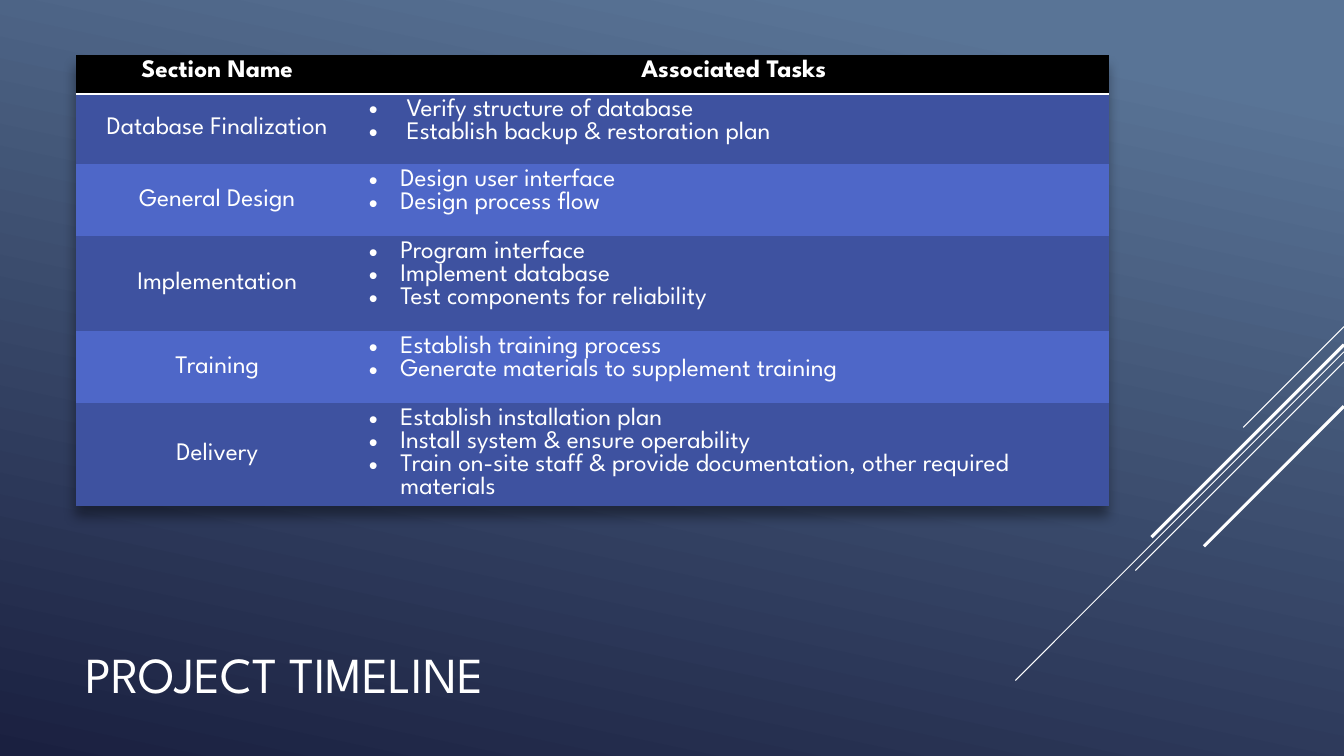
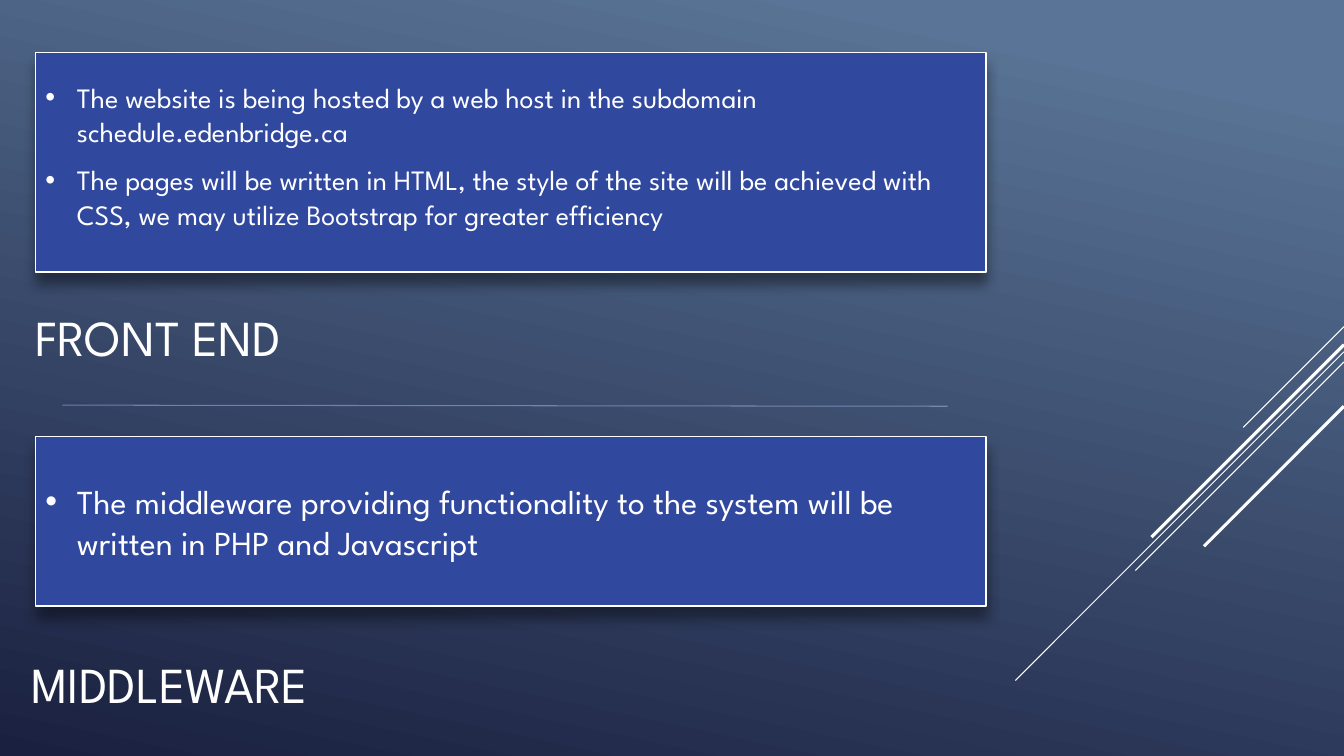
from lxml import etree
from pptx import Presentation
from pptx.dml.color import RGBColor
from pptx.enum.shapes import MSO_CONNECTOR, MSO_SHAPE
from pptx.enum.text import MSO_ANCHOR, PP_ALIGN
from pptx.oxml import parse_xml
from pptx.oxml.ns import nsdecls, qn
from pptx.util import Pt

FONT = "League Spartan"
WHITE = RGBColor(0xFF, 0xFF, 0xFF)
BLACK = RGBColor(0, 0, 0)
SKY = RGBColor(0x59, 0x74, 0x96)
NIGHT = RGBColor(0x1A, 0x20, 0x40)
PANEL_BLUE = RGBColor(0x31, 0x48, 0x9F)
ROW_BLUES = (RGBColor(0x3E, 0x52, 0xA0), RGBColor(0x4E, 0x67, 0xC8))
DIVIDER_BLUE = RGBColor(0x95, 0xAE, 0xD7)

SLIDE_W, SLIDE_H = 960, 540
LOOSE, TIGHT = 1.22, 0.91  # line pitch relative to the text size
PLAIN_TABLE = "{2D5ABB26-0587-4C30-8999-92F81FD0307C}"

# Diagonal lines: start height at the right edge, length along x, width
DIAGONALS = [
    (233.3, 72, 0.75),
    (251.3, 234.7, 0.75),
    (258.5, 149, 0.75),
    (246.2, 137.5, 2.25),
    (290.2, 100, 2.25),
]

SECTIONS = [
    ("Database Finalization", 50.4, 27,
     ["Verify structure of database", "Establish backup & restoration plan"]),
    ("General Design", 51.5, 22.5,
     ["Design user interface", "Design process flow"]),
    ("Implementation", 67.7, 22.5,
     ["Program interface", "Implement database",
      "Test components for reliability"]),
    ("Training", 51.5, 22.5,
     ["Establish training process",
      "Generate materials to supplement training"]),
    ("Delivery", 73.3, 22.5,
     ["Establish installation plan", "Install system & ensure operability",
      "Train on-site staff & provide documentation, other required materials"]),
]

FRONT_END = [
    "The website is being hosted by a web host in the subdomain "
    "schedule.edenbridge.ca",
    "The pages will be written in HTML, the style of the site will be "
    "achieved with CSS, we may utilize Bootstrap for greater efficiency",
]
MIDDLEWARE = ["The middleware providing functionality to the system will be "
              "written in PHP and Javascript"]


def drop_shadow():
    return parse_xml(
        f'<a:effectLst {nsdecls("a")}><a:outerShdw blurRad="{Pt(9)}" '
        f'dist="{Pt(8)}" dir="5400000" algn="t" rotWithShape="0">'
        '<a:srgbClr val="000000"><a:alpha val="40000"/></a:srgbClr>'
        '</a:outerShdw></a:effectLst>')


def write(frame, lines, size, pitch, indent=0, align=PP_ALIGN.LEFT,
          bold=False, before=0, after=0):
    """Fill a text frame; an indent makes the lines bulleted."""
    frame.word_wrap = True
    for number, line in enumerate(lines):
        paragraph = frame.add_paragraph() if number else frame.paragraphs[0]
        if indent:
            props = paragraph._p.get_or_add_pPr()
            props.set("marL", str(Pt(indent)))
            props.set("indent", str(-Pt(indent)))
            etree.SubElement(props, qn("a:buFont")).set("typeface", "Arial")
            etree.SubElement(props, qn("a:buChar")).set("char", "•")
        paragraph.alignment = align
        paragraph.line_spacing = Pt(round(size * pitch, 1))
        paragraph.space_before = Pt(before if number else 0)
        paragraph.space_after = Pt(after)
        run = paragraph.add_run()
        run.text = line
        run.font.name = FONT
        run.font.size = Pt(size)
        run.font.bold = bold
        run.font.color.rgb = WHITE


def add_line(slide, start, end, color, width, opacity=100):
    line = slide.shapes.add_connector(
        MSO_CONNECTOR.STRAIGHT, *(Pt(value) for value in (*start, *end)))
    line.line.color.rgb = color
    line.line.width = Pt(width)
    if opacity < 100:
        tint = next(line.element.iter(qn("a:srgbClr")))
        etree.SubElement(tint, qn("a:alpha")).set("val", str(opacity * 1000))
    etree.SubElement(line.element.spPr, qn("a:effectLst"))


def add_text(slide, box, anchor, lines, size, **style):
    text = slide.shapes.add_textbox(*(Pt(value) for value in box))
    text.text_frame.vertical_anchor = anchor
    write(text.text_frame, lines, size, LOOSE, **style)


def add_title(slide, box, title):
    add_text(slide, box, MSO_ANCHOR.MIDDLE, [title], 36)


def add_panel(slide, box):
    panel = slide.shapes.add_shape(
        MSO_SHAPE.RECTANGLE, *(Pt(value) for value in box))
    panel.fill.solid()
    panel.fill.fore_color.rgb = PANEL_BLUE
    panel.line.color.rgb = WHITE
    panel.line.width = Pt(1)
    panel.element.spPr.append(drop_shadow())
    panel.text_frame.vertical_anchor = MSO_ANCHOR.MIDDLE
    return panel


def new_slide(deck):
    """Blank slide with the shared gradient and diagonal lines."""
    slide = deck.slides.add_slide(deck.slide_layouts[6])
    backdrop = slide.background.fill
    backdrop.gradient()
    backdrop.gradient_angle = 258
    for stop, color, position in zip(
            backdrop.gradient_stops, (SKY, NIGHT), (0.1, 1)):
        stop.color.rgb = color
        stop.position = position
    for top, run, width in DIAGONALS:
        add_line(slide, (SLIDE_W, top), (SLIDE_W - run, top + run),
                 WHITE, width)
    return slide


def fill_cell(cell, color, lines, anchor=MSO_ANCHOR.TOP, **style):
    cell.fill.solid()
    cell.fill.fore_color.rgb = color
    cell.vertical_anchor = anchor
    write(cell.text_frame, lines, 18, TIGHT, **style)


def underline_cell(cell):
    edge = parse_xml(
        f'<a:lnB {nsdecls("a")} w="{Pt(2)}"><a:solidFill>'
        f'<a:srgbClr val="{WHITE}"/></a:solidFill></a:lnB>')
    cell._tc.get_or_add_tcPr().insert(0, edge)


def add_task_table(slide, left, top, widths):
    heights = [27.4] + [height for _, height, _, _ in SECTIONS]
    frame = slide.shapes.add_table(
        len(heights), len(widths), Pt(left), Pt(top),
        Pt(sum(widths)), Pt(sum(heights)))
    table = frame.table
    table.first_row = table.horz_banding = False
    next(frame.element.iter(qn("a:tableStyleId"))).text = PLAIN_TABLE
    next(frame.element.iter(qn("a:tblPr"))).insert(0, drop_shadow())
    for column, width in zip(table.columns, widths):
        column.width = Pt(width)
    for row, height in zip(table.rows, heights):
        row.height = Pt(height)

    # Header row
    for column, heading in enumerate(("Section Name", "Associated Tasks")):
        cell = table.cell(0, column)
        fill_cell(cell, BLACK, [heading], align=PP_ALIGN.CENTER, bold=True)
        underline_cell(cell)

    # One row per section
    for row, (section, _, indent, tasks) in enumerate(SECTIONS, 1):
        color = ROW_BLUES[(row - 1) % 2]
        fill_cell(table.cell(row, 0), color, [section], MSO_ANCHOR.MIDDLE,
                  align=PP_ALIGN.CENTER)
        fill_cell(table.cell(row, 1), color, tasks, indent=indent)


def timeline_slide(deck):
    slide = new_slide(deck)
    add_title(slide, (54, 421.2, 672, 118.8), "PROJECT TIMELINE")
    add_task_table(slide, 54, 39.6, (202.3, 535.7))


def technology_slide(deck):
    slide = new_slide(deck)

    # Front end
    left, width = 25.4, 679
    add_panel(slide, (left, 37.4, width, 157))
    add_text(slide, (left, 53.3, width, 114.5), MSO_ANCHOR.TOP, FRONT_END, 20,
             indent=22.5, before=4.3, after=6)
    add_title(slide, (18, 211, 672, 58.3), "FRONT END")

    add_line(slide, (44.6, 289.4), (676.8, 290.2), DIVIDER_BLUE, 0.75, 60)

    # Middleware
    panel = add_panel(slide, (left, 311.8, width, 121))
    write(panel.text_frame, MIDDLEWARE, 24, LOOSE, indent=22.5)
    add_title(slide, (15.1, 461.5, 672, 52.6), "MIDDLEWARE")


def main():
    deck = Presentation()
    deck.slide_width, deck.slide_height = Pt(SLIDE_W), Pt(SLIDE_H)
    timeline_slide(deck)
    technology_slide(deck)
    deck.save("out.pptx")


if __name__ == "__main__":
    main()
